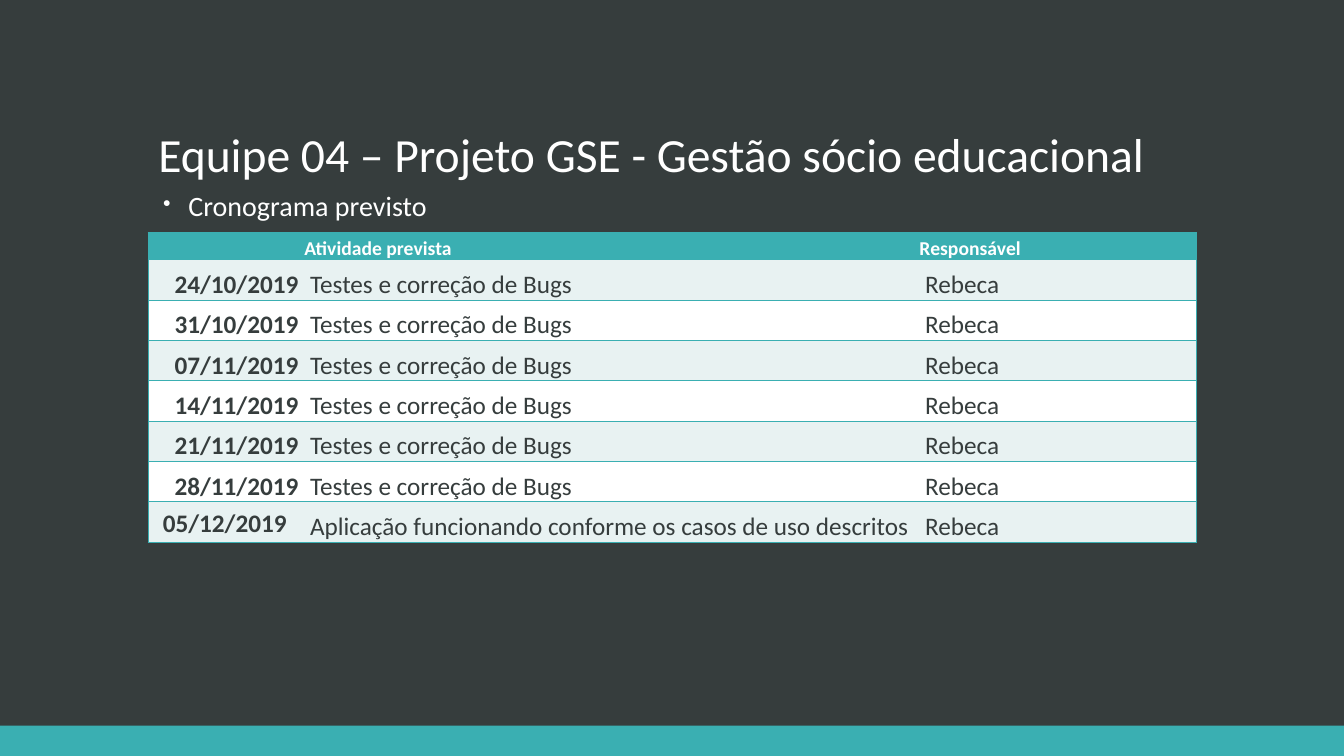
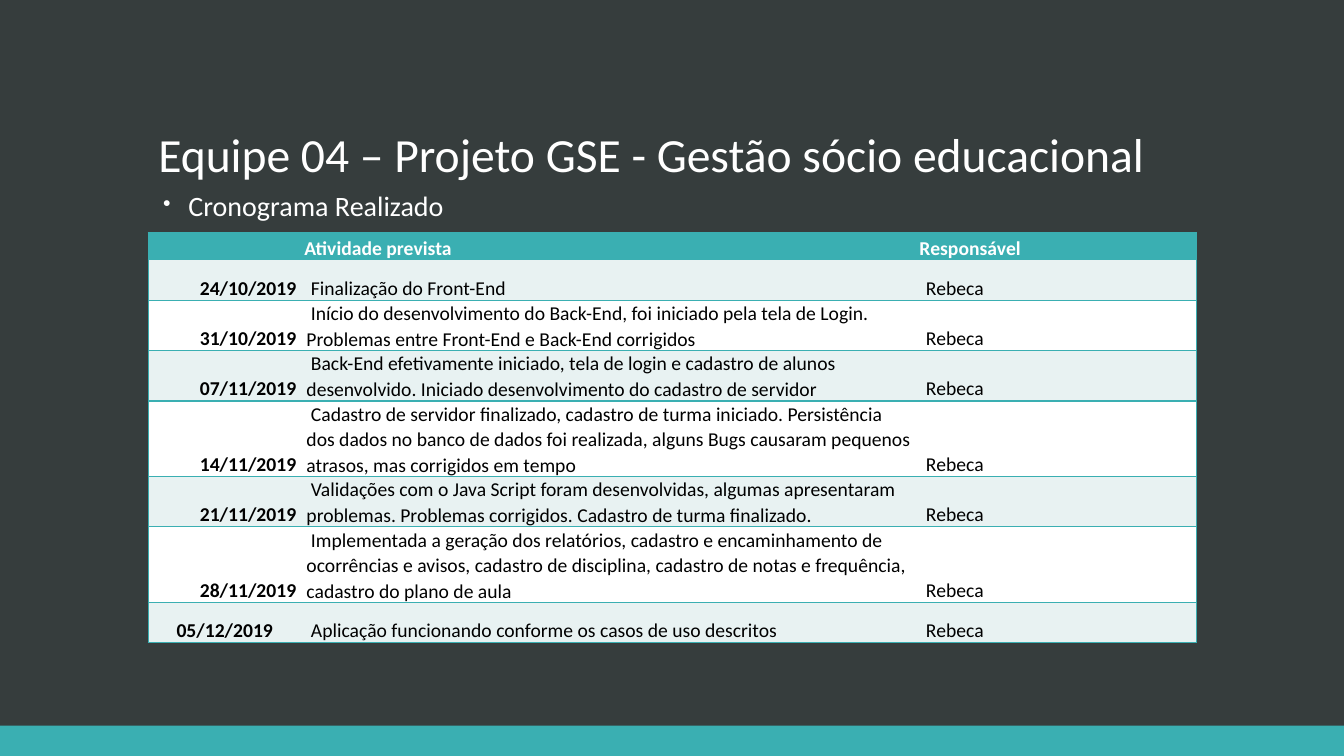
from dataclasses import dataclass

from lxml import etree
from pptx import Presentation
from pptx.dml.color import RGBColor
from pptx.enum.shapes import MSO_SHAPE
from pptx.enum.text import MSO_ANCHOR, MSO_AUTO_SIZE, PP_ALIGN
from pptx.oxml.ns import qn
from pptx.util import Inches, Pt

RECTANGLE = MSO_SHAPE.RECTANGLE
TOP, MIDDLE, BOTTOM = MSO_ANCHOR.TOP, MSO_ANCHOR.MIDDLE, MSO_ANCHOR.BOTTOM
LEFT, CENTER, RIGHT = PP_ALIGN.LEFT, PP_ALIGN.CENTER, PP_ALIGN.RIGHT
NO_AUTOFIT = MSO_AUTO_SIZE.NONE

COLORS = {
    "dark": "363D3D",
    "teal": "3AAFB2",
    "pale": "E8F2F2",
    "white": "FFFFFF",
    "black": "000000",
}
FONT = "Calibri"
TITLE = "Equipe 04 – Projeto GSE - Gestão sócio educacional"
HEADER = ["", "Atividade prevista", "Responsável"]
DATES = ["24/10/2019", "31/10/2019", "07/11/2019", "14/11/2019",
         "21/11/2019", "28/11/2019", "05/12/2019"]
OWNER = "Rebeca"
FINAL_ACTIVITY = "Aplicação funcionando conforme os casos de uso descritos"
PLANNED = ["Testes e correção de Bugs"] * 6 + [FINAL_ACTIVITY]
DONE = [
    "Finalização do Front-End",
    "Início do desenvolvimento do Back-End, foi iniciado pela tela de Login. "
    "Problemas entre Front-End e Back-End corrigidos",
    "Back-End efetivamente iniciado, tela de login e cadastro de alunos "
    "desenvolvido. Iniciado desenvolvimento do cadastro de servidor",
    "Cadastro de servidor finalizado, cadastro de turma iniciado. Persistência "
    "dos dados no banco de dados foi realizada, alguns Bugs causaram pequenos "
    "atrasos, mas corrigidos em tempo",
    "Validações com o Java Script foram desenvolvidas, algumas apresentaram "
    "problemas. Problemas corrigidos. Cadastro de turma finalizado.",
    "Implementada a geração dos relatórios, cadastro e encaminhamento de "
    "ocorrências e avisos, cadastro de disciplina, cadastro de notas e "
    "frequência, cadastro do plano de aula",
    FINAL_ACTIVITY,
]
CONTENT_LEFT, CONTENT_WIDTH = Inches(1.47), Inches(10.4)
COLUMN_WIDTHS = [1.52, 6.1, 2.78]
HEADER_HEIGHT, ROW_HEIGHT = 0.18, 0.4


@dataclass
class CellStyle:
    size: int
    color: str
    inset: float
    spacing: float


HEADER_STYLE = CellStyle(14, "white", 0.03, 1.15)
PLANNED_STYLE = CellStyle(18, "dark", 0.03, 1.15)
DONE_STYLE = CellStyle(14, "black", 0.05, 1.07)


def rgb(name):
    return RGBColor.from_string(COLORS[name])


def write(paragraph, text, size, color, spacing, bold=False, align=LEFT):
    paragraph.text = text
    paragraph.alignment = align
    paragraph.line_spacing = spacing
    font = paragraph.font
    font.name, font.size, font.bold = FONT, Pt(size), bold
    font.color.rgb = rgb(color)
    if not text:
        etree.SubElement(paragraph._p, qn("a:endParaRPr"), sz=str(size * 100))


def add_page(deck):
    page = deck.slides.add_slide(deck.slide_layouts[5])
    band = page.shapes.add_shape(RECTANGLE, 0, Inches(7.2), deck.slide_width, Inches(0.3))
    band.shadow.inherit = False
    band.fill.solid()
    band.fill.fore_color.rgb = rgb("teal")
    band.line.fill.background()
    title = page.shapes.title
    title.left, title.top = CONTENT_LEFT, Inches(0.51)
    title.width, title.height = CONTENT_WIDTH, Inches(1.35)
    frame = title.text_frame
    frame.word_wrap, frame.auto_size = True, NO_AUTOFIT
    frame.vertical_anchor = BOTTOM
    write(frame.paragraphs[0], TITLE, 34, "white", 0.9)
    return page


def add_bullet(page, text):
    box = page.shapes.add_textbox(CONTENT_LEFT, Inches(1.86), Inches(11.22), Inches(4.73))
    frame = box.text_frame
    frame.word_wrap, frame.vertical_anchor = True, TOP
    para = frame.paragraphs[0]
    write(para, text, 20, "white", 0.9)
    para.space_before = Pt(18)
    properties = para._p.get_or_add_pPr()
    properties.set("marL", str(Inches(0.3)))
    properties.set("indent", str(Inches(-0.25)))
    defaults = properties.find(qn("a:defRPr"))
    for tag, name, value in (("a:buSzPct", "val", "80000"), ("a:buChar", "char", "•")):
        mark = etree.Element(qn(tag))
        mark.set(name, value)
        defaults.addprevious(mark)


def set_borders(cell, visible):
    properties = cell._tc.get_or_add_tcPr()
    for position, side in enumerate("LRTB"):
        line = etree.Element(qn(f"a:ln{side}"), w=str(Pt(1)))
        if side in visible:
            fill = etree.SubElement(line, qn("a:solidFill"))
            etree.SubElement(fill, qn("a:srgbClr"), val=COLORS["teal"])
        else:
            etree.SubElement(line, qn("a:noFill"))
        properties.insert(position, line)


def fill_cell(cell, text, style, background, borders, bold, align=LEFT, anchor=BOTTOM):
    cell.fill.solid()
    cell.fill.fore_color.rgb = rgb(background)
    cell.margin_left = cell.margin_right = Inches(style.inset)
    cell.margin_top = cell.margin_bottom = 0
    cell.vertical_anchor = anchor
    write(cell.text_frame.paragraphs[0], text, style.size, style.color,
          style.spacing, bold, align)
    set_borders(cell, borders)


def add_schedule(page, activities, style, height, last_date_anchor):
    rows = len(DATES) + 1
    holder = page.shapes.add_table(rows, len(HEADER), CONTENT_LEFT, Inches(2.31),
                                   CONTENT_WIDTH, Inches(height))
    table = holder.table
    for column, width in zip(table.columns, COLUMN_WIDTHS):
        column.width = Inches(width)
    for index, row in enumerate(table.rows):
        row.height = Inches(ROW_HEIGHT if index else HEADER_HEIGHT)
    holder.height = Inches(height)

    borders = ["LTB", "TB", "RTB"]
    for column, text in enumerate(HEADER):
        fill_cell(table.cell(0, column), text, HEADER_STYLE, "teal", borders[column], True)
    for index, (date, activity) in enumerate(zip(DATES, activities), start=1):
        background = "pale" if index % 2 else "white"
        last = index == len(DATES)
        fill_cell(table.cell(index, 0), date, style, background, borders[0], True,
                  CENTER if last else RIGHT, last_date_anchor if last else BOTTOM)
        for column, text in enumerate((activity, OWNER), start=1):
            fill_cell(table.cell(index, column), f"\u00a0{text}", style, background,
                      borders[column], False)


def main():
    deck = Presentation()
    deck.slide_width, deck.slide_height = Inches(13.33), Inches(7.5)
    backdrop = deck.slide_master.background.fill
    backdrop.solid()
    backdrop.fore_color.rgb = rgb("dark")

    schedules = [
        ("Cronograma previsto", PLANNED, PLANNED_STYLE, 3.09, MIDDLE),
        ("Cronograma Realizado", DONE, DONE_STYLE, 4.02, BOTTOM),
    ]
    for heading, activities, style, height, last_date_anchor in schedules:
        page = add_page(deck)
        add_bullet(page, heading)
        add_schedule(page, activities, style, height, last_date_anchor)
    deck.save("out.pptx")


main()
